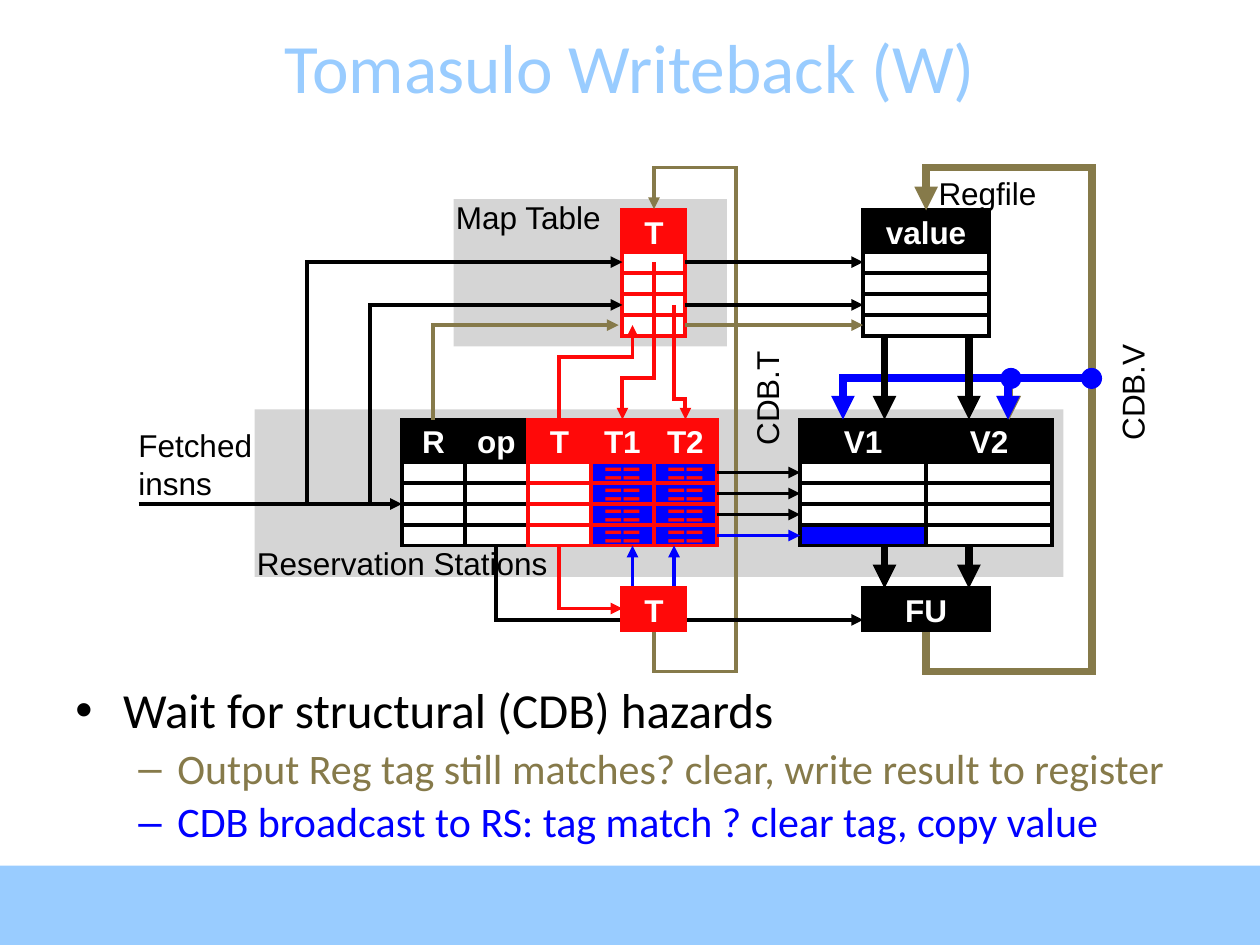
from pptx import Presentation
from pptx.dml.color import RGBColor
from pptx.enum.shapes import MSO_CONNECTOR, MSO_SHAPE
from pptx.enum.text import MSO_ANCHOR, PP_ALIGN
from pptx.oxml.ns import qn
from pptx.util import Cm, Pt
from lxml import etree

RECT, DOT = MSO_SHAPE.RECTANGLE, MSO_SHAPE.FLOWCHART_CONNECTOR
STRAIGHT = MSO_CONNECTOR.STRAIGHT
MIDDLE, TOP = MSO_ANCHOR.MIDDLE, MSO_ANCHOR.TOP
CENTER, LEFT = PP_ALIGN.CENTER, PP_ALIGN.LEFT

COLORS = {"black": "000000", "white": "FFFFFF", "red": "FF0909", "blue": "0000FF",
          "olive": "867A4A", "gray": "D5D5D5", "sky": "99CCFF"}
THIN, THICK = 2.25, 4.5
ROW = 1 / 6         # table row height; headers are two rows high
ROW_COUNT = 4

# Content: all places are in inches
TITLE = "Tomasulo Writeback (W)"
BULLETS = [  # text, level, size, colour, bullet, left margin, hanging indent
    ("Wait for structural (CDB) hazards", 0, 28, "black", "•", 0.38, 0.38),
    ("Output Reg tag still matches? clear, write result to register",
     1, 24, "olive", "–", 0.81, 0.31),
    ("CDB broadcast to RS: tag match ? clear tag, copy value",
     1, 24, "blue", "–", 0.81, 0.31),
]
PANELS = [  # left, top, width, height, fill
    (0, 6.87, 10, 0.63, "sky"),
    (3.6, 1.58, 2.17, 1.17, "gray"),
    (2.02, 3.25, 6.42, 1.33, "gray"),
]
PLAIN = ["white"] * ROW_COUNT
MATCHING = ["blue"] * ROW_COUNT
COLUMNS = [  # header, left, top, width, colour, row fills, row text
    ("value", 6.85, 1.67, 1, "black", PLAIN, ""),
    ("V1", 6.35, 3.33, 1, "black", PLAIN[:3] + ["blue"], ""),
    ("V2", 7.35, 3.33, 1, "black", PLAIN, ""),
    ("T", 4.94, 1.67, 0.5, "red", PLAIN, ""),
    ("R", 3.19, 3.33, 0.5, "black", PLAIN, ""),
    ("op", 3.69, 3.33, 0.5, "black", PLAIN, ""),
    ("T", 4.19, 3.33, 0.5, "red", PLAIN, ""),
    ("T2", 5.19, 3.33, 0.5, "red", MATCHING, "=="),
    ("T1", 4.69, 3.33, 0.5, "red", MATCHING, "=="),
]
UNITS = [("FU", 6.85, 4.67, 1, "black", [], ""), ("T", 4.94, 4.67, 0.5, "red", [], "")]

ARROWS = [  # from, to, colour, width
    ((1.1, 4), (3.19, 4), "black", THIN),
    ((5.44, 2.08), (6.85, 2.08), "black", THIN),
    ((5.44, 2.42), (6.85, 2.42), "black", THIN),
    ((5.44, 2.58), (6.85, 2.58), "olive", THIN),
    ((5.02, 4.67), (5.02, 4.33), "blue", THIN),
    ((5.35, 4.67), (5.35, 4.33), "blue", THIN),
]
# Reservation station rows to values; the last one is ready
ARROWS += [((5.69, 3.75 + i * ROW), (6.35, 3.75 + i * ROW), color, THIN)
           for i, color in enumerate(["black"] * 3 + ["blue"])]
# Register file to V1 and V2, and these to the functional unit
ARROWS += [((x, top), (x, bottom), "black", THICK)
           for x in (7.02, 7.69) for top, bottom in ((2.67, 3.33), (4.33, 4.67))]

ROUTES = [  # bent arrows: points, colour, width
    ([(7.35, 5), (7.35, 5.33), (8.67, 5.33), (8.67, 3), (8.01, 3), (8.01, 3.33)],
     "olive", THICK),
    ([(8.67, 3.33), (8.67, 1.33), (7.35, 1.33), (7.35, 1.67)], "olive", THICK),
    ([(8.67, 3), (6.69, 3), (6.69, 3.33)], "blue", THICK),
    ([(5.19, 4.99), (5.19, 5.33), (5.84, 5.33), (5.84, 1.33), (5.19, 1.33), (5.19, 1.66)],
     "olive", THIN),
    ([(4.44, 4.33), (4.44, 4.83), (4.94, 4.83)], "red", THIN),
    ([(2.44, 4), (2.44, 2.08), (4.94, 2.08)], "black", THIN),
    ([(2.94, 4), (2.94, 2.42), (4.94, 2.42)], "black", THIN),
    ([(3.44, 3.33), (3.44, 2.58), (4.91, 2.58)], "olive", THIN),
    ([(4.44, 3.33), (4.44, 2.83), (5.02, 2.83), (5.02, 2.58)], "red", THIN),
    ([(5.19, 2.08), (5.19, 3), (4.94, 3), (4.94, 3.33)], "red", THIN),
    ([(5.35, 2.42), (5.35, 3.17), (5.44, 3.17), (5.44, 3.33)], "red", THIN),
    ([(3.94, 4.33), (3.94, 4.92), (6.85, 4.92)], "black", THIN),
]
BUS_TAP = ((8, 3), (8, 3.33), "blue", THICK)
DOTS = [(7.94, 2.92), (8.58, 2.92)]
LABELS = [  # text, left, top, width, height, rotation
    ("Map Table", 3.52, 1.52, 1.38, 0.4, 0),
    ("Reservation Stations", 1.94, 4.27, 2.51, 0.4, 0),
    ("CDB.V", 8.5, 2.91, 0.97, 0.4, 270),
    ("CDB.T", 5.61, 2.96, 0.95, 0.4, 270),
    ("Fetched\ninsns", 1, 3.33, 1.1, 0.7, 0),
    ("Regfile", 7.35, 1.33, 0.98, 0.4, 0),
]


def inches(*values):
    return [Cm(value * 2.54) for value in values]


def rgb(name):
    return RGBColor.from_string(COLORS[name])


def write(shape, text, size, color, font="Arial", bold=False, align=LEFT,
          anchor=TOP, wrap=False):
    frame = shape.text_frame
    frame.text = text
    frame.word_wrap = wrap
    frame.vertical_anchor = anchor
    for para in frame.paragraphs:
        para.alignment = align
        for span in para.runs:
            span.font.name, span.font.size, span.font.bold = font, Pt(size), bold
            span.font.color.rgb = rgb(color)


def stroke(shape, color, width, arrow=False):
    shape.line.color.rgb = rgb(color)
    shape.line.width = Pt(width)
    outline = shape.line._get_or_add_ln()
    etree.SubElement(outline, qn("a:miter"), lim="800000")
    if arrow:
        etree.SubElement(outline, qn("a:tailEnd"), type="triangle")


def add_box(page, left, top, width, height, fill, line=None, kind=RECT):
    box = page.shapes.add_shape(kind, *inches(left, top, width, height))
    box.shadow.inherit = False
    box.fill.solid()
    box.fill.fore_color.rgb = rgb(fill)
    if line:
        stroke(box, line, THIN)
    else:
        box.line.fill.background()
    return box


def add_column(page, header, left, top, width, color, fills, mark):
    head = add_box(page, left, top, width, 2 * ROW, color, color)
    write(head, header, 18, "white", bold=True, align=CENTER, anchor=MIDDLE)
    for i, fill in enumerate(fills):
        cell = add_box(page, left, top + (i + 2) * ROW, width, ROW, fill, color)
        if mark:
            write(cell, mark, 18, color, bold=True, align=CENTER, anchor=MIDDLE)


def add_arrow(page, start, end, color, width):
    arrow = page.shapes.add_connector(STRAIGHT, *inches(*start, *end))
    stroke(arrow, color, width, arrow=True)
    etree.SubElement(arrow._element.spPr, qn("a:effectLst"))


def add_route(page, points, color, width):
    start, *rest = [inches(*point) for point in points]
    builder = page.shapes.build_freeform(*start)
    builder.add_line_segments(rest, close=False)
    route = builder.convert_to_shape()
    route.shadow.inherit = False
    route.fill.background()
    stroke(route, color, width, arrow=True)


def add_bullets(page):
    box = page.shapes.add_textbox(*inches(0.5, 5.4, 9, 1.5))
    write(box, "\n".join(item[0] for item in BULLETS), 24, "black", "Calibri", wrap=True)
    for para, (_, level, size, color, mark, margin, hang) in zip(
            box.text_frame.paragraphs, BULLETS):
        para.level = level
        para.line_spacing = 0.9
        para.space_before = Pt(size * 0.2)
        para.runs[0].font.size = Pt(size)
        para.runs[0].font.color.rgb = rgb(color)
        props = para._p.get_or_add_pPr()
        props.set("marL", str(Cm(margin * 2.54)))
        props.set("indent", str(-Cm(hang * 2.54)))
        etree.SubElement(props, qn("a:buFont"), typeface="Arial")
        etree.SubElement(props, qn("a:buChar"), char=mark)


def main():
    deck = Presentation()
    deck.slide_width, deck.slide_height = inches(10, 7.5)
    page = deck.slides.add_slide(deck.slide_layouts[5])

    # Title, background panels and bullets
    title = page.shapes.title
    title.left, title.top, title.width, title.height = inches(0, 0.21, 10, 0.63)
    write(title, TITLE, 39.6, "sky", "Calibri", align=CENTER, anchor=MIDDLE, wrap=True)
    for panel in PANELS:
        add_box(page, *panel)
    add_bullets(page)

    # Tables, wires and functional units
    for column in COLUMNS:
        add_column(page, *column)
    for route in ROUTES:
        add_route(page, *route)
    for arrow in ARROWS + [BUS_TAP]:
        add_arrow(page, *arrow)
    for left, top in DOTS:
        add_box(page, left, top, ROW, ROW, "blue", kind=DOT)
    for unit in UNITS:
        add_column(page, *unit)
    # The result buses leave from the units' lower edges, so only labels follow
    for text, left, top, width, height, rotation in LABELS:
        label = page.shapes.add_textbox(*inches(left, top, width, height))
        label.rotation = rotation
        write(label, text, 18, "black")

    deck.save("out.pptx")


if __name__ == "__main__":
    main()
